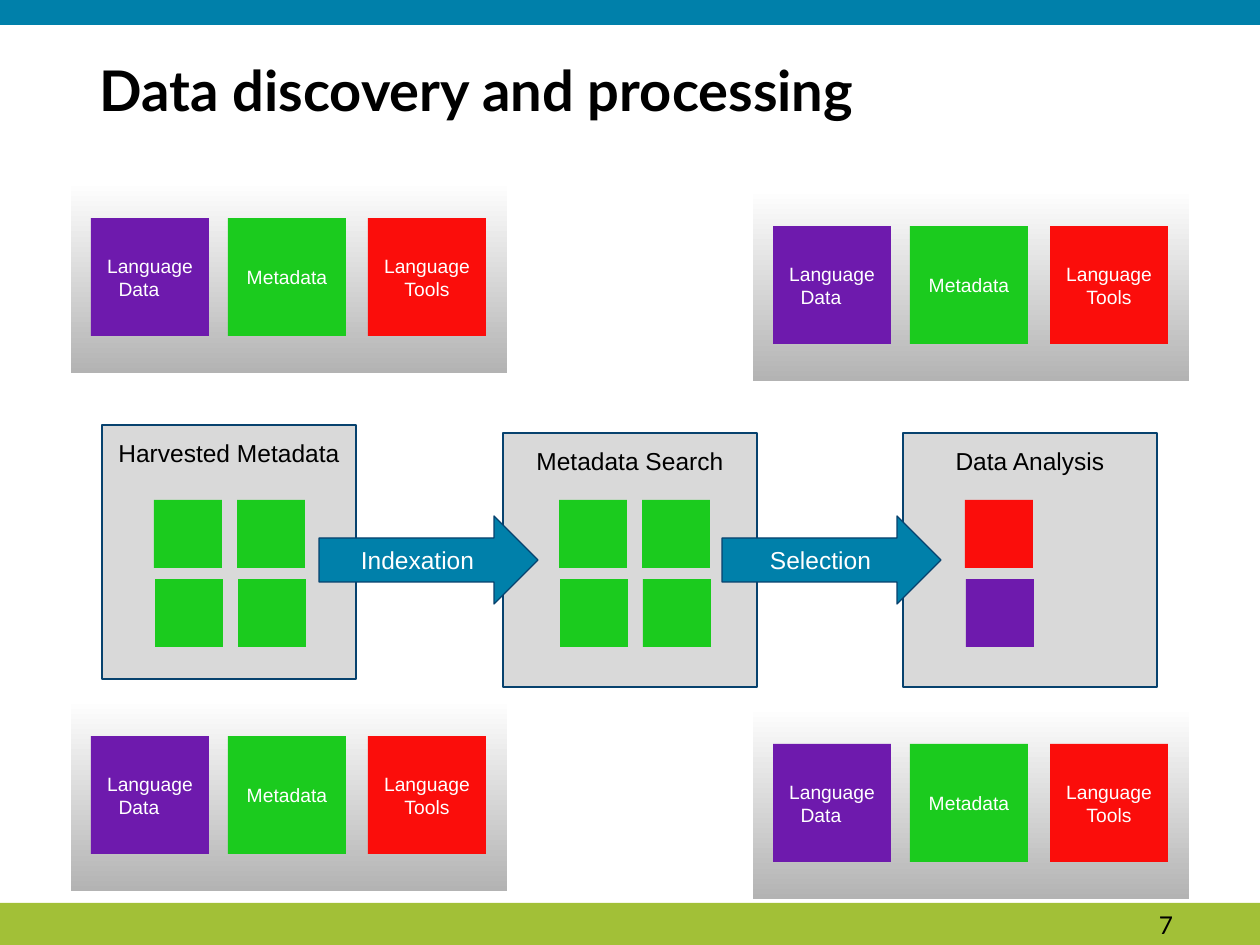
"""Build the slide on data discovery and processing."""
from pptx import Presentation
from pptx.dml.color import RGBColor
from pptx.enum.shapes import MSO_SHAPE
from pptx.enum.text import MSO_ANCHOR, PP_ALIGN
from pptx.util import Pt

RECT, ARROW = MSO_SHAPE.RECTANGLE, MSO_SHAPE.RIGHT_ARROW
TOP, MID = MSO_ANCHOR.TOP, MSO_ANCHOR.MIDDLE
LEFT, MIDST, RIGHT = PP_ALIGN.LEFT, PP_ALIGN.CENTER, PP_ALIGN.RIGHT
PX = 914400 / 126
HUES = {
    "blue": "0080AA", "lime": "A2C037", "navy": "07426E", "gray": "D9D9D9",
    "dim": "B3B3B3", "white": "FFFFFF", "black": "000000",
    "data": "6E1AAD", "meta": "1BCB1E", "tools": "FB0D0B",
}
COLOR = {name: RGBColor.from_string(code) for name, code in HUES.items()}
SMALL = {"name": "Arial", "size": Pt(11)}
LARGE = {"name": "Arial", "size": Pt(14)}


def write(shape, text, font, hue, align=MIDST, anchor=MID, pads=(13, 13, 13, 13)):
    frame = shape.text_frame
    form = {"word_wrap": True, "vertical_anchor": anchor}
    sides = ("margin_left", "margin_top", "margin_right", "margin_bottom")
    form.update(zip(sides, (round(pad * PX) for pad in pads)))
    for key, value in form.items():
        setattr(frame, key, value)
    para = frame.paragraphs[0]
    para.alignment = align
    run = para.add_run()
    run.text = text
    for key, value in font.items():
        setattr(run.font, key, value)
    run.font.color.rgb = COLOR[hue]
    return para


def draw(host, area, hue, kind=RECT, edge=None):
    shape = host.add_shape(kind, *(round(side * PX) for side in area))
    shape.shadow.inherit = False
    shape.fill.solid()
    shape.fill.fore_color.rgb = COLOR[hue]
    if edge:
        shape.line.color.rgb = COLOR[edge]
        shape.line.width = Pt(0.75)
    else:
        shape.line.fill.background()
    return shape


deck = Presentation()
deck.slide_width, deck.slide_height = round(1260 * PX), round(945 * PX)
items = deck.slides.add_slide(deck.slide_layouts[6]).shapes

draw(items, (0, 903, 1260, 42), "lime")
draw(items, (0, 0, 1260, 25), "blue")

title = items.add_textbox(*(round(side * PX) for side in (87, 50, 1086, 149)))
font = {"name": "Lato", "size": Pt(32), "bold": True}
para = write(title, "Data discovery and processing", font, "black", LEFT, TOP)
para.line_spacing = 0.9

tiles = [
    (20, "data", "Language Data\t"),
    (157, "meta", "Metadata"),
    (297, "tools", "Language Tools"),
]
for x, y in [(71, 699), (753, 707), (71, 181), (753, 189)]:
    group = items.add_group_shape().shapes
    panel = draw(group, (x, y, 436, 192), "white")
    panel.fill.gradient()
    panel.fill.gradient_angle = 270
    for stop, hue, place in zip(panel.fill.gradient_stops, ("white", "dim"), (0, 1)):
        stop.color.rgb = COLOR[hue]
        stop.position = place
    for step, hue, text in tiles:
        tile = draw(group, (x + step, y + 37, 118, 118), hue)
        write(tile, text, SMALL, "white")

stages = [
    (102, 425, "Harvested Metadata"),
    (503, 433, "Metadata Search"),
    (903, 433, "Data Analysis"),
]
for x, y, text in stages:
    stage = draw(items, (x, y, 254, 254), "gray", edge="navy")
    write(stage, text, LARGE, "black", anchor=TOP)

for x, text in [(319, "Indexation"), (722, "Selection")]:
    arrow = draw(items, (x, 516, 219, 88), "blue", ARROW, "navy")
    write(arrow, text, LARGE, "white")

stacks = [
    (154, "meta", "meta"), (237, "meta", "meta"),
    (559, "meta", "meta"), (642, "meta", "meta"),
    (965, "tools", "data"),
]
for x, *hues in stacks:
    for row, hue in enumerate(hues):
        draw(items, (x + row, 500 + 79 * row, 68, 68), hue)

page = items.add_textbox(*(round(side * PX) for side in (890, 906, 283, 37)))
write(page, "7", {"name": "Lato", "size": Pt(14)}, "black", RIGHT, pads=(13, 6, 0, 6))

deck.save("out.pptx")
